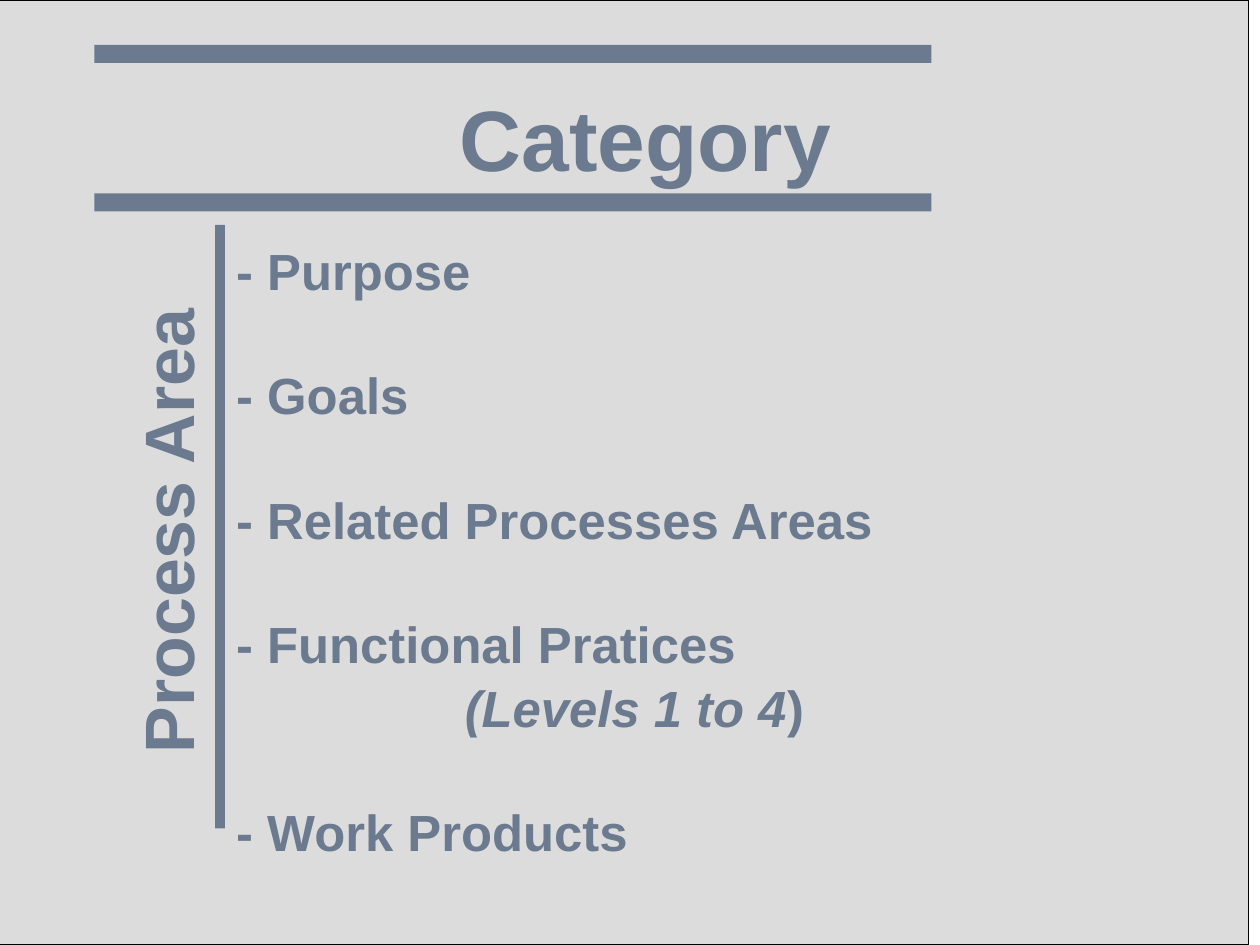
from pptx import Presentation
from pptx.dml.color import RGBColor
from pptx.enum import shapes, text
from pptx.util import Cm, Pt

SLATE = RGBColor(0x6B, 0x7A, 0x8F)
LIGHT_GREY = RGBColor(0xDC, 0xDC, 0xDC)
BLACK = RGBColor(0, 0, 0)
FONT = "Arial"

CONTENTS = ["Purpose", "Goals", "Related Processes Areas",
            "Functional Pratices", "Work Products"]
LEVELS_AFTER = "Functional Pratices"


def add_block(slide, left, top, width, height, color):
    block = slide.shapes.add_shape(shapes.MSO_SHAPE.RECTANGLE,
                                   Cm(left), Cm(top), Cm(width), Cm(height))
    block.shadow.inherit = False
    block.fill.solid()
    block.fill.fore_color.rgb = color
    block.line.fill.background()
    return block


def add_backdrop(slide):
    """Grey panel with a hairline edge, placed behind the title."""
    backdrop = add_block(slide, -0.25, 0, 28, 21, LIGHT_GREY)
    backdrop.line.color.rgb = BLACK
    backdrop.line.width = Pt(0)
    slide.shapes.element.insert(2, backdrop.element)


def add_run(paragraph, words, size, italic=False):
    run = paragraph.add_run()
    run.text = words
    font = run.font
    font.name, font.size = FONT, Pt(size)
    font.bold, font.italic = True, italic
    font.color.rgb = SLATE


def add_text_box(slide, left, top, width, height):
    box = slide.shapes.add_textbox(Cm(left), Cm(top), Cm(width), Cm(height))
    box.text_frame.word_wrap = True
    return box


def set_title(slide, words):
    title = slide.shapes.title
    title.left, title.top = Cm(9.34), Cm(1.79)
    title.width, title.height = Cm(10), Cm(2.4)
    frame = title.text_frame
    frame.auto_size = text.MSO_AUTO_SIZE.NONE
    frame.vertical_anchor = text.MSO_ANCHOR.TOP
    heading = frame.paragraphs[0]
    heading.alignment = text.PP_ALIGN.CENTER
    add_run(heading, words, 54)


def add_side_label(slide, words):
    label = add_text_box(slide, -2, 10.36, 11.28, 1.98)
    label.rotation = 270
    add_run(label.text_frame.paragraphs[0], words, 44)


def add_contents(slide):
    frame = add_text_box(slide, 5, 5.2, 21.2, 12.9).text_frame
    for index, entry in enumerate(CONTENTS):
        line = frame.add_paragraph() if index else frame.paragraphs[0]
        line.space_before = Pt(40 if index else 0)
        add_run(line, f"- {entry}", 32)
        if entry == LEVELS_AFTER:
            levels = frame.add_paragraph()
            levels.space_before = Pt(1.6)
            levels._p.get_or_add_pPr().set("marL", str(Cm(5.08)))
            add_run(levels, "(Levels 1 to 4", 32, italic=True)
            add_run(levels, ")", 32)


def main():
    deck = Presentation()
    deck.slide_width, deck.slide_height = Cm(28), Cm(21)
    slide = deck.slides.add_slide(deck.slide_layouts[5])

    add_backdrop(slide)
    set_title(slide, "Category")
    add_side_label(slide, "Process Area")
    add_contents(slide)
    for top in (1, 4.3):
        add_block(slide, 2.1, top, 18.6, 0.4, SLATE)
    add_block(slide, 4.78, 5, 0.22, 13.41, SLATE)

    deck.save("out.pptx")


if __name__ == "__main__":
    main()
